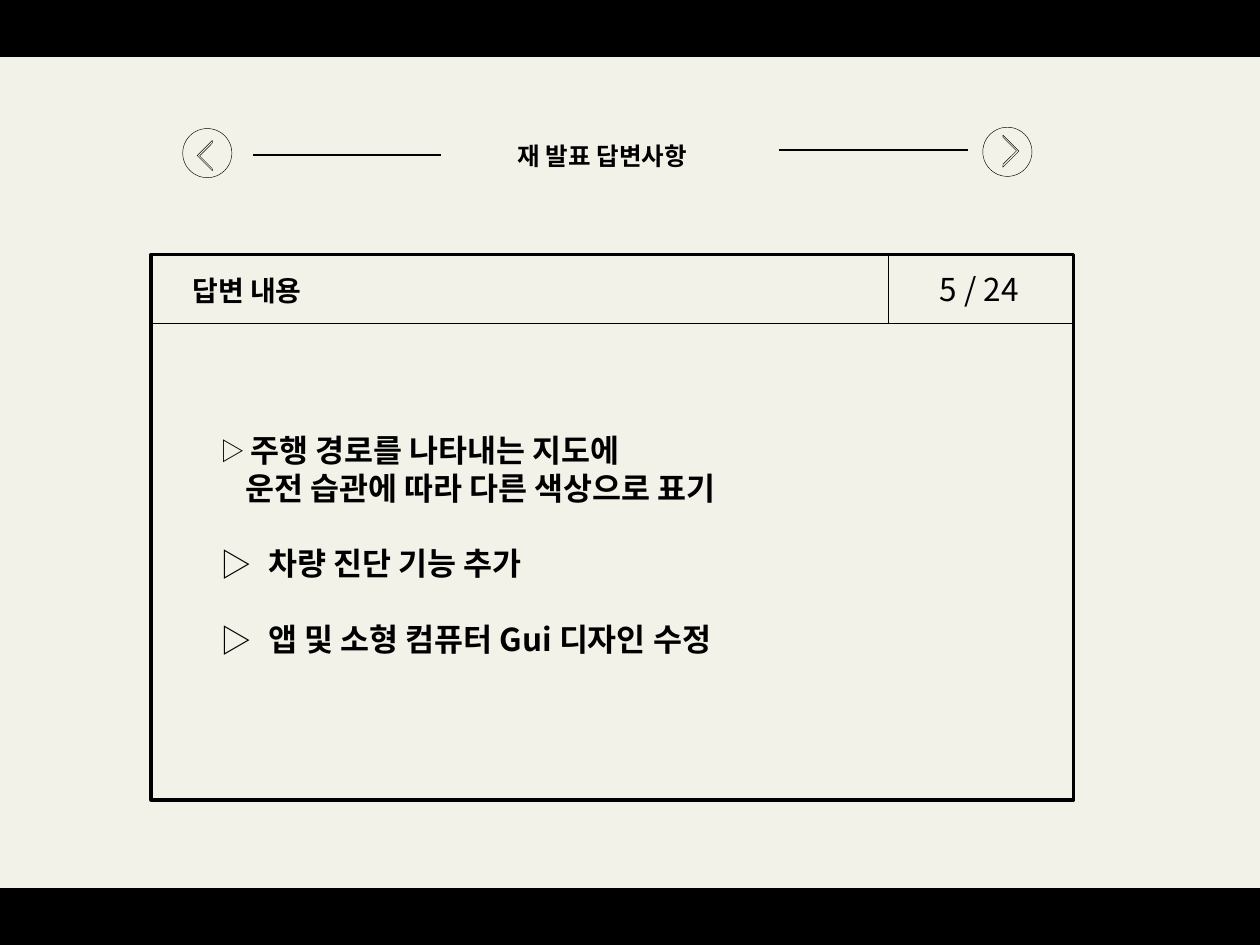
from typing import NamedTuple

import pptx
import pptx.dml.color
import pptx.enum.shapes
import pptx.enum.text
import pptx.oxml
import pptx.oxml.ns
import pptx.util

Inches = pptx.util.Inches
Pt = pptx.util.Pt
SHAPE = pptx.enum.shapes.MSO_SHAPE
FONT = "Noto Sans CJK KR"
INK = "000000"
PAPER = "F3F2E9"


class Box(NamedTuple):
    x: float
    y: float
    w: float
    h: float


class Nav(NamedTuple):
    circle: Box
    chevron: Box
    rotation: float
    rule: tuple


class Item(NamedTuple):
    text: str
    indent: float
    bullet_pct: int = 0  # bullet size relative to the text, 0 for none
    before: float = 0


def rgb(value: str) -> pptx.dml.color.RGBColor:
    return pptx.dml.color.RGBColor.from_string(value)


def add_box(s, kind, box: Box, width: float, fill: str = ""):
    sp = s.shapes.add_shape(kind, *map(Inches, box))
    sp.shadow.inherit = False
    if fill:
        sp.fill.solid()
        sp.fill.fore_color.rgb = rgb(fill)
    else:
        sp.fill.background()
    sp.line.color.rgb = rgb(INK)
    sp.line.width = Pt(width)
    return sp


def add_line(s, x1: float, y1: float, x2: float, y2: float) -> None:
    sp = s.shapes.add_connector(pptx.enum.shapes.MSO_CONNECTOR.STRAIGHT,
                                *map(Inches, (x1, y1, x2, y2)))
    sp.line.color.rgb = rgb(INK)
    sp.line.width = Pt(0.75)
    pptx.oxml.ns.qn("a:effectLst")
    sp._element.spPr.append(xml("effectLst"))


def xml(tag: str, attrs: str = ""):
    return pptx.oxml.parse_xml(
        f'<a:{tag} {pptx.oxml.ns.nsdecls("a")} {attrs}/>')


def add_run(p, text: str, size: float, bold: bool = True) -> None:
    r = p.add_run()
    r.text = text
    r.font.size = Pt(size)
    r.font.bold = bold
    r.font.color.rgb = rgb(INK)
    r.font.name = FONT
    r._r.get_or_add_rPr().append(xml("ea", f'typeface="{FONT}"'))


def format_frame(sp, wrap: bool = False):
    tf = sp.text_frame
    tf.word_wrap = wrap
    tf.auto_size = pptx.enum.text.MSO_AUTO_SIZE.SHAPE_TO_FIT_TEXT
    tf.vertical_anchor = pptx.enum.text.MSO_ANCHOR.TOP
    tf.paragraphs[0].alignment = pptx.enum.text.PP_ALIGN.LEFT
    return tf


def add_label(s, box: Box, text: str, size: float, bold: bool) -> None:
    tf = format_frame(s.shapes.add_textbox(*map(Inches, box)))
    add_run(tf.paragraphs[0], text, size, bold)


def add_items(s, box: Box, items: list) -> None:
    tf = format_frame(s.shapes.add_textbox(*map(Inches, box)), wrap=True)
    for i, item in enumerate(items):
        p = tf.paragraphs[0] if i == 0 else tf.add_paragraph()
        if item.before:
            p.space_before = Pt(item.before)
        pPr = p._p.get_or_add_pPr()
        pPr.set("marL", str(Inches(item.indent)))
        if item.bullet_pct:
            pPr.set("indent", str(-Inches(item.indent)))
            pPr.append(xml("buSzPct", f'val="{item.bullet_pct * 1000}"'))
            pPr.append(xml("buFont", f'typeface="{FONT}"'))
            pPr.append(xml("buChar", 'char="▷"'))
        add_run(p, item.text, 18)


prs = pptx.Presentation()
prs.slide_width, prs.slide_height = Inches(10), Inches(7.5)
s = prs.slides.add_slide(prs.slide_layouts[5])
s.background.fill.solid()
s.background.fill.fore_color.rgb = rgb(PAPER)

# Black bands at top and bottom
BAND = 0.44
for y in (0, 7.5 - BAND):
    add_box(s, SHAPE.RECTANGLE, Box(0, y, 10, BAND), 2, INK)

# Title
title = s.shapes.title
title.left, title.top, title.width, title.height = map(
    Inches, (4.01, 1.07, 1.68, 0.34))
add_run(format_frame(title).paragraphs[0], "재 발표 답변사항", 14)

# Previous and next buttons with their rules
for nav in (
    Nav(Box(1.45, 1.02, 0.39, 0.39), Box(1.6, 1.15, 0.17, 0.17), 315,
        (2.01, 1.23, 3.5, 1.23)),
    Nav(Box(7.8, 1.01, 0.39, 0.39), Box(7.87, 1.11, 0.18, 0.18), 135,
        (6.18, 1.19, 7.68, 1.19)),
):
    add_box(s, SHAPE.OVAL, nav.circle, 0.25)
    chevron = add_box(s, SHAPE.HALF_FRAME, nav.chevron, 0.25)
    chevron.adjustments[0], chevron.adjustments[1] = 0.09, 0.07
    chevron.rotation = nav.rotation
    add_line(s, *nav.rule)

# Framed panel with a header row
panel = Box(1.2, 2.02, 7.32, 4.33)
header_y = panel.y + 0.55
page_x = 7.05
add_box(s, SHAPE.RECTANGLE, panel, 2)
add_line(s, panel.x, header_y, panel.x + panel.w, header_y)
add_line(s, page_x, panel.y, page_x, header_y)
add_label(s, Box(7.36, 2.09, 0.9, 0.4), "5 / 24", 18, False)
add_label(s, Box(1.43, 2.12, 1.23, 0.37), "답변 내용", 16, True)

# Answers
add_items(s, Box(1.65, 3.37, 6.61, 1.92), [
    Item("주행 경로를 나타내는 지도에", 0.24, 78),
    Item("운전 습관에 따라 다른 색상으로 표기", 0.2),
    Item("차량 진단 기능 추가", 0.38, 100, 21.6),
    Item("앱 및 소형 컴퓨터 Gui 디자인 수정", 0.38, 100, 21.6),
])

prs.save("out.pptx")
